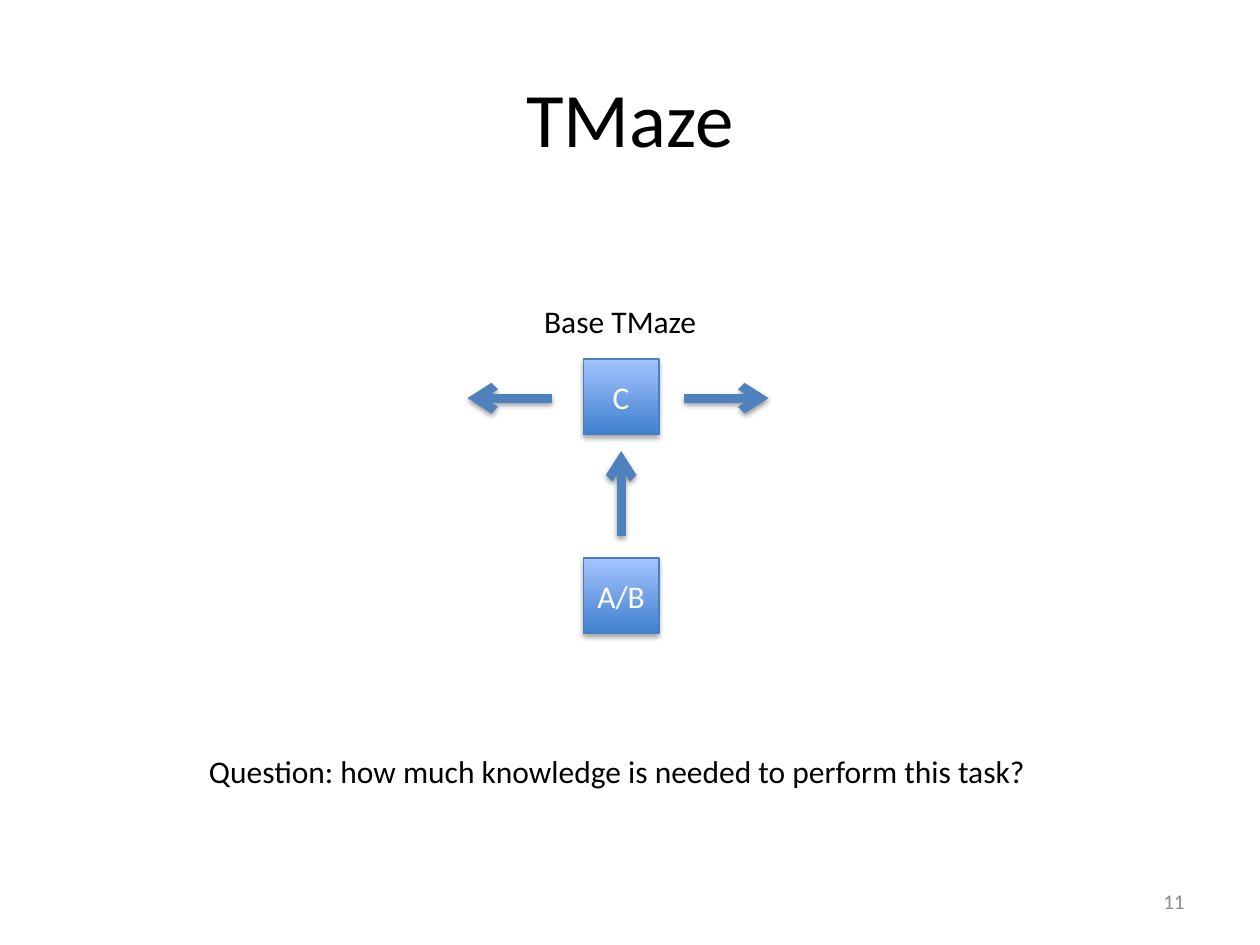
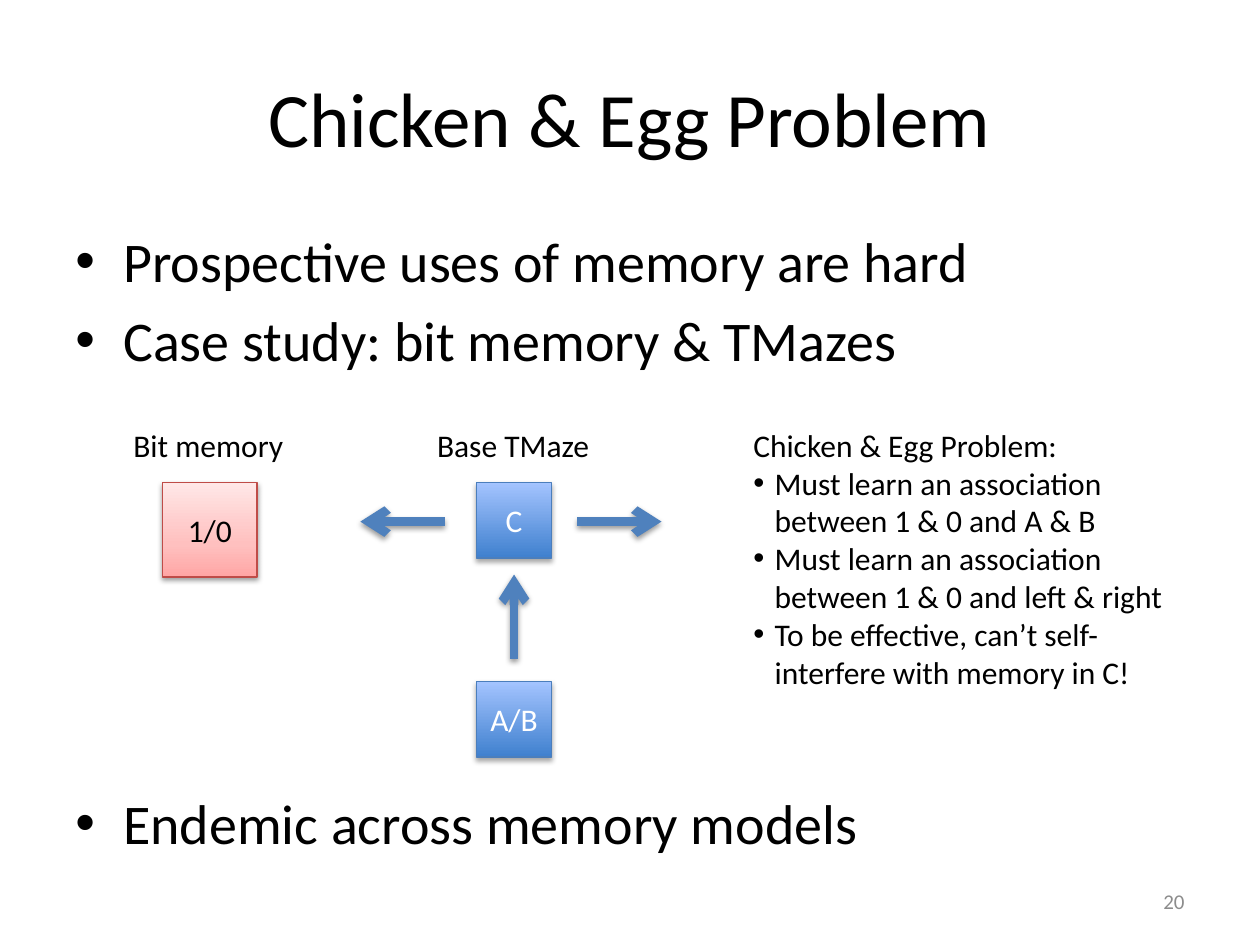
from dataclasses import dataclass

from lxml import etree
from pptx import Presentation
from pptx.dml.color import RGBColor
from pptx.enum.shapes import MSO_CONNECTOR, MSO_SHAPE
from pptx.enum.text import MSO_ANCHOR, MSO_AUTO_SIZE, PP_ALIGN
from pptx.oxml.ns import qn
from pptx.util import Inches, Pt

LEFT, CENTER, RIGHT = PP_ALIGN.LEFT, PP_ALIGN.CENTER, PP_ALIGN.RIGHT
TOP, MIDDLE = MSO_ANCHOR.TOP, MSO_ANCHOR.MIDDLE
FIT_SHAPE, NO_FIT = MSO_AUTO_SIZE.SHAPE_TO_FIT_TEXT, MSO_AUTO_SIZE.NONE
RECTANGLE, STRAIGHT = MSO_SHAPE.RECTANGLE, MSO_CONNECTOR.STRAIGHT

FONT = "Calibri"
BLACK, WHITE, GRAY = "000000", "FFFFFF", "8C8C8C"
ARROW_BLUE = "4F81BD"
TITLE_ONLY = 5
LABEL_HEIGHT = 0.4
ROOM_SIZE = 0.6


@dataclass(frozen=True)
class Box:
    left: float
    top: float
    width: float
    height: float

    def lengths(self):
        return [Inches(n) for n in (self.left, self.top, self.width, self.height)]


@dataclass(frozen=True)
class Shadow:
    opacity: int
    distance: float


@dataclass(frozen=True)
class TileStyle:
    stops: tuple
    line: str
    text: str
    shadow: Shadow


@dataclass(frozen=True)
class Arrow:
    start: tuple
    end: tuple


SOFT_SHADOW = Shadow(38, 1.6)
BLUE_TILE = TileStyle(((0, "3F80CE"), (100, "A4C4FF")), "4B7EBC", WHITE, Shadow(35, 1.8))
RED_TILE = TileStyle(((0, "FFA6A5"), (35, "FFC0BF"), (100, "FFE7E7")), "BF4C48", BLACK,
                     SOFT_SHADOW)
MAZE_ARROWS = (
    Arrow((0, 1.4), (0, 0.73)),
    Arrow((0.5, 0.31), (1.17, 0.31)),
    Arrow((-0.55, 0.31), (-1.22, 0.31)),
)


def color(value: str) -> RGBColor:
    return RGBColor.from_string(value)


def style_paragraph(paragraph, size: float, text_color: str, align=LEFT) -> None:
    paragraph.alignment = align
    paragraph.font.name = FONT
    paragraph.font.size = Pt(size)
    paragraph.font.color.rgb = color(text_color)


def add_bullet(paragraph, indent: float) -> None:
    properties = paragraph._p.get_or_add_pPr()
    properties.set("marL", str(Inches(indent)))
    properties.set("indent", str(-Inches(indent)))
    etree.SubElement(properties, qn("a:buFont"), typeface="Arial")
    etree.SubElement(properties, qn("a:buChar"), char="•")


def add_color_element(parent, value: str):
    return etree.SubElement(parent, qn("a:srgbClr"), val=value)


def add_shadow(effects, shadow: Shadow) -> None:
    outer = etree.SubElement(
        effects, qn("a:outerShdw"), blurRad=str(Pt(3.1)), dist=str(Pt(shadow.distance)),
        dir="5400000", rotWithShape="0")
    black = add_color_element(outer, BLACK)
    etree.SubElement(black, qn("a:alpha"), val=str(shadow.opacity * 1000))


def add_slide(presentation, title: str, number: str):
    slide = presentation.slides.add_slide(presentation.slide_layouts[TITLE_ONLY])
    heading = slide.shapes.title
    heading.left, heading.top, heading.width, heading.height = Box(0.5, 0.3, 9, 1.25).lengths()
    heading.text_frame.text = title
    heading.text_frame.vertical_anchor = MIDDLE
    style_paragraph(heading.text_frame.paragraphs[0], 44, BLACK, CENTER)
    add_text(slide, Box(7.17, 6.95, 2.33, LABEL_HEIGHT), [number], 12, GRAY, RIGHT, MIDDLE)
    return slide


def add_text(slide, box: Box, lines: list, size: float = 18, text_color: str = BLACK,
             align=LEFT, anchor=TOP, wrap: bool = True, fit=NO_FIT) -> list:
    frame = slide.shapes.add_textbox(*box.lengths()).text_frame
    frame.text = "\n".join(lines)
    frame.word_wrap = wrap
    frame.auto_size = fit
    frame.vertical_anchor = anchor
    for paragraph in frame.paragraphs:
        style_paragraph(paragraph, size, text_color, align)
    return list(frame.paragraphs)


def add_label(slide, left: float, top: float, width: float, text: str) -> None:
    add_text(slide, Box(left, top, width, LABEL_HEIGHT), [text], wrap=False, fit=FIT_SHAPE)


def add_bullets(slide, box: Box, lines: list) -> None:
    for paragraph in add_text(slide, box, lines, 32):
        paragraph.space_before = Pt(6.4)
        add_bullet(paragraph, 0.38)


def add_tile(slide, box: Box, text: str, style: TileStyle) -> None:
    shape = slide.shapes.add_shape(RECTANGLE, *box.lengths())
    shape.fill.gradient()
    shape.fill.gradient_angle = 90
    properties = shape._element.spPr
    stop_list = properties.find(qn("a:gradFill")).find(qn("a:gsLst"))
    stop_list.clear()
    for position, value in style.stops:
        stop = etree.SubElement(stop_list, qn("a:gs"), pos=str(position * 1000))
        add_color_element(stop, value)
    shape.line.color.rgb = color(style.line)
    shape.line.width = Pt(0.75)
    shape.shadow.inherit = False
    add_shadow(properties.find(qn("a:effectLst")), style.shadow)
    frame = shape.text_frame
    frame.margin_left = frame.margin_right = 0
    frame.text = text
    frame.vertical_anchor = MIDDLE
    style_paragraph(frame.paragraphs[0], 18, style.text, CENTER)


def add_arrow(slide, center: float, top: float, arrow: Arrow) -> None:
    ends = [Inches(base + offset) for point in (arrow.start, arrow.end)
            for base, offset in zip((center, top), point)]
    connector = slide.shapes.add_connector(STRAIGHT, *ends)
    connector.line.color.rgb = color(ARROW_BLUE)
    connector.line.width = Pt(5)
    properties = connector._element.spPr
    etree.SubElement(properties.find(qn("a:ln")), qn("a:tailEnd"), type="arrow")
    add_shadow(etree.SubElement(properties, qn("a:effectLst")), SOFT_SHADOW)


def add_maze(slide, center: float, top: float) -> None:
    for text, offset in (("A/B", 1.58), ("C", 0)):
        room = Box(center - ROOM_SIZE / 2, top + offset, ROOM_SIZE, ROOM_SIZE)
        add_tile(slide, room, text, BLUE_TILE)
    for arrow in MAZE_ARROWS:
        add_arrow(slide, center, top, arrow)
    add_label(slide, center - 0.71, top - 0.5, 1.42, "Base TMaze")


def build_maze_slide(presentation) -> None:
    slide = add_slide(presentation, "TMaze", "11")
    add_maze(slide, 4.93, 2.85)
    add_label(slide, 1.56, 5.92, 6.75,
              "Question: how much knowledge is needed to perform this task?")


def build_problem_slide(presentation) -> None:
    slide = add_slide(presentation, "Chicken & Egg Problem", "20")
    add_bullets(slide, Box(0.5, 1.75, 9, 1.47), [
        "Prospective uses of memory are hard",
        "Case study: bit memory & TMazes",
    ])
    add_tile(slide, Box(1.29, 3.83, 0.75, 0.75), "1/0", RED_TILE)
    add_label(slide, 0.96, 3.33, 1.41, "Bit memory")
    add_maze(slide, 4.08, 3.83)
    add_bullets(slide, Box(0.5, 6.21, 9, 0.74), ["Endemic across memory models"])
    problem = add_text(slide, Box(5.88, 3.33, 3.62, 2.22), [
        "Chicken & Egg Problem:",
        "Must learn an association\vbetween 1 & 0 and A & B",
        "Must learn an association\vbetween 1 & 0 and left & right",
        "To be effective, can’t self-\vinterfere with memory in C!",
    ], fit=FIT_SHAPE)
    for paragraph in problem[1:]:
        add_bullet(paragraph, 0.17)


def main() -> None:
    presentation = Presentation()
    presentation.slide_width = Inches(10)
    presentation.slide_height = Inches(7.5)
    build_maze_slide(presentation)
    build_problem_slide(presentation)
    presentation.save("out.pptx")


if __name__ == "__main__":
    main()
